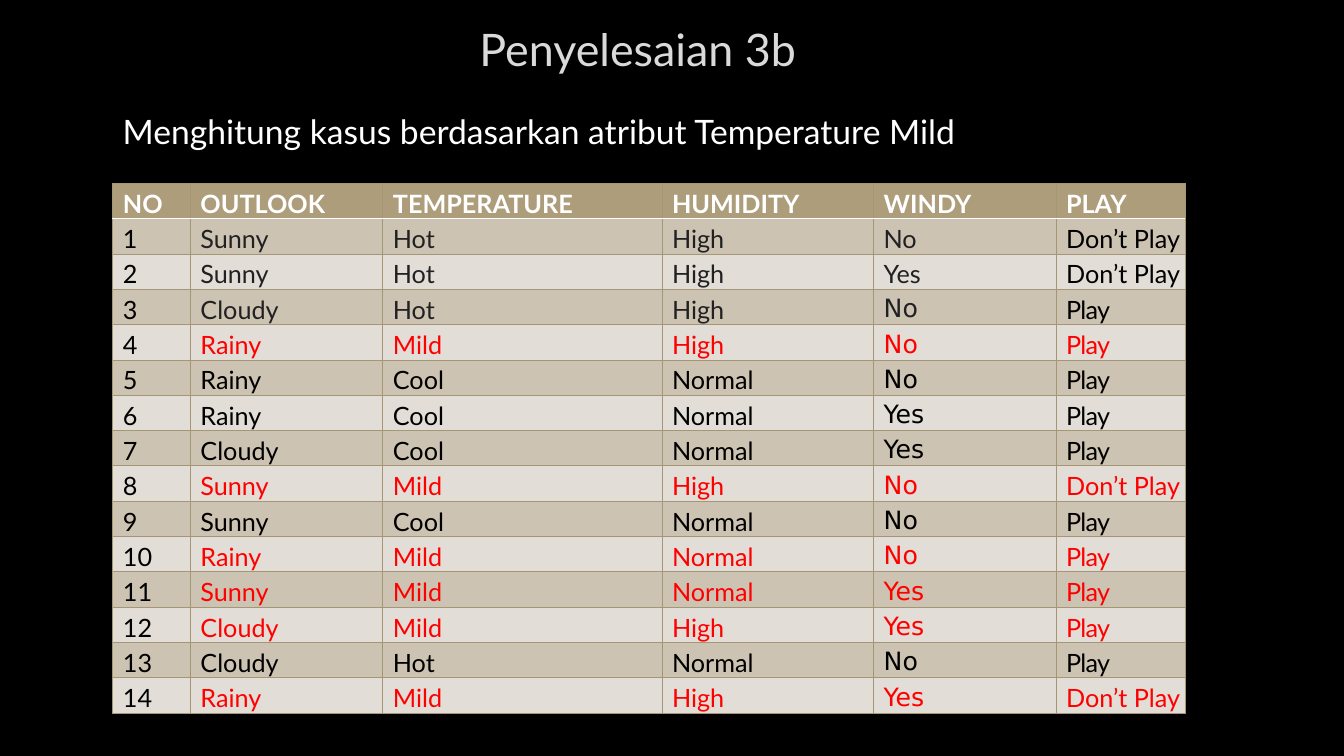
from pptx import Presentation
from pptx.dml.color import RGBColor
from pptx.enum.text import MSO_ANCHOR, PP_ALIGN
from pptx.oxml import parse_xml
from pptx.oxml.ns import nsdecls
from pptx.util import Pt


def style(span, color, size, bold=False, font="Lato"):
    span.font.name = font
    span.font.size = Pt(size)
    span.font.bold = bold
    span.font.color.rgb = RGBColor.from_string(color)


def add_border(cell, side, color, width):
    cell._tc.get_or_add_tcPr().append(parse_xml(
        f'<a:ln{side} {nsdecls("a")} w="{Pt(width)}"><a:solidFill>'
        f'<a:srgbClr val="{color}"/></a:solidFill></a:ln{side}>'))


deck = Presentation()
deck.slide_width, deck.slide_height = Pt(960), Pt(540)
page = deck.slides.add_slide(deck.slide_layouts[5])
page.background.fill.solid()
page.background.fill.fore_color.rgb = RGBColor.from_string("000000")

# Title
title = page.shapes.title
title.left, title.top, title.width, title.height = Pt(80.6), Pt(19), Pt(750), Pt(31)
title.text_frame.text = "Penyelesaian 3b"
title.text_frame.vertical_anchor = MSO_ANCHOR.MIDDLE
title.text_frame.paragraphs[0].alignment = PP_ALIGN.CENTER
style(title.text_frame.paragraphs[0].runs[0], "DADADA", 32)

# Subtitle
box = page.shapes.add_textbox(Pt(80.6), Pt(75.6), Pt(794), Pt(36))
box.text_frame.word_wrap = True
box.text_frame.text = "Menghitung kasus berdasarkan atribut Temperature Mild"
style(box.text_frame.paragraphs[0].runs[0], "FFFFFF", 24)

# Weather cases
header = ["NO", "OUTLOOK", "TEMPERATURE", "HUMIDITY", "WINDY", "PLAY"]
cases = [
    ("Sunny", "Hot", "High", "No", "Don’t Play"),
    ("Sunny", "Hot", "High", "Yes", "Don’t Play"),
    ("Cloudy", "Hot", "High", "No", "Play"),
    ("Rainy", "Mild", "High", "No", "Play"),
    ("Rainy", "Cool", "Normal", "No", "Play"),
    ("Rainy", "Cool", "Normal", "Yes", "Play"),
    ("Cloudy", "Cool", "Normal", "Yes", "Play"),
    ("Sunny", "Mild", "High", "No", "Don’t Play"),
    ("Sunny", "Cool", "Normal", "No", "Play"),
    ("Rainy", "Mild", "Normal", "No", "Play"),
    ("Sunny", "Mild", "Normal", "Yes", "Play"),
    ("Cloudy", "Mild", "High", "Yes", "Play"),
    ("Cloudy", "Hot", "Normal", "No", "Play"),
    ("Rainy", "Mild", "High", "Yes", "Don’t Play"),
]
rows = [header] + [(str(number), *case) for number, case in enumerate(cases, 1)]
widths = [55.4, 137.5, 199.4, 151.2, 130.3, 92.2]
row_height = 25.15

table = page.shapes.add_table(len(rows), len(widths), Pt(80.6), Pt(131),
                              Pt(sum(widths)), Pt(row_height * len(rows))).table
table.horz_banding = False
for column, width in zip(table.columns, widths):
    column.width = Pt(width)

for r, values in enumerate(rows):
    table.rows[r].height = Pt(row_height)
    for c, value in enumerate(values):
        cell = table.cell(r, c)
        cell.margin_left, cell.margin_top = Pt(7.2), Pt(3.6)
        cell.margin_right = cell.margin_bottom = Pt(0)

        # Borders, with a white rule under the header
        for side in "LRTB":
            if (r, side) in ((0, "B"), (1, "T")):
                add_border(cell, side, "FFFFFF", 1.25)
            else:
                add_border(cell, side, "A59675", 0.75)

        # Alternating fill
        fill = "AD9D7B" if r == 0 else "CDC3B2" if r % 2 else "E2DDD6"
        cell.fill.solid()
        cell.fill.fore_color.rgb = RGBColor.from_string(fill)

        # Text, with the Mild cases in red
        if r == 0:
            color = "FFFFFF"
        elif c > 0 and values[2] == "Mild":
            color = "FF0000"
        elif r <= 3 and 1 <= c <= 4:
            color = "212123"
        else:
            color = "000000"
        cell.text_frame.text = value
        span = cell.text_frame.paragraphs[0].runs[0]
        style(span, color, 18, r == 0, "DejaVu Sans" if c == 4 and r >= 3 else "Lato")
        if value == "Play":
            span._r.get_or_add_rPr().set("spc", "-50")

deck.save("out.pptx")
